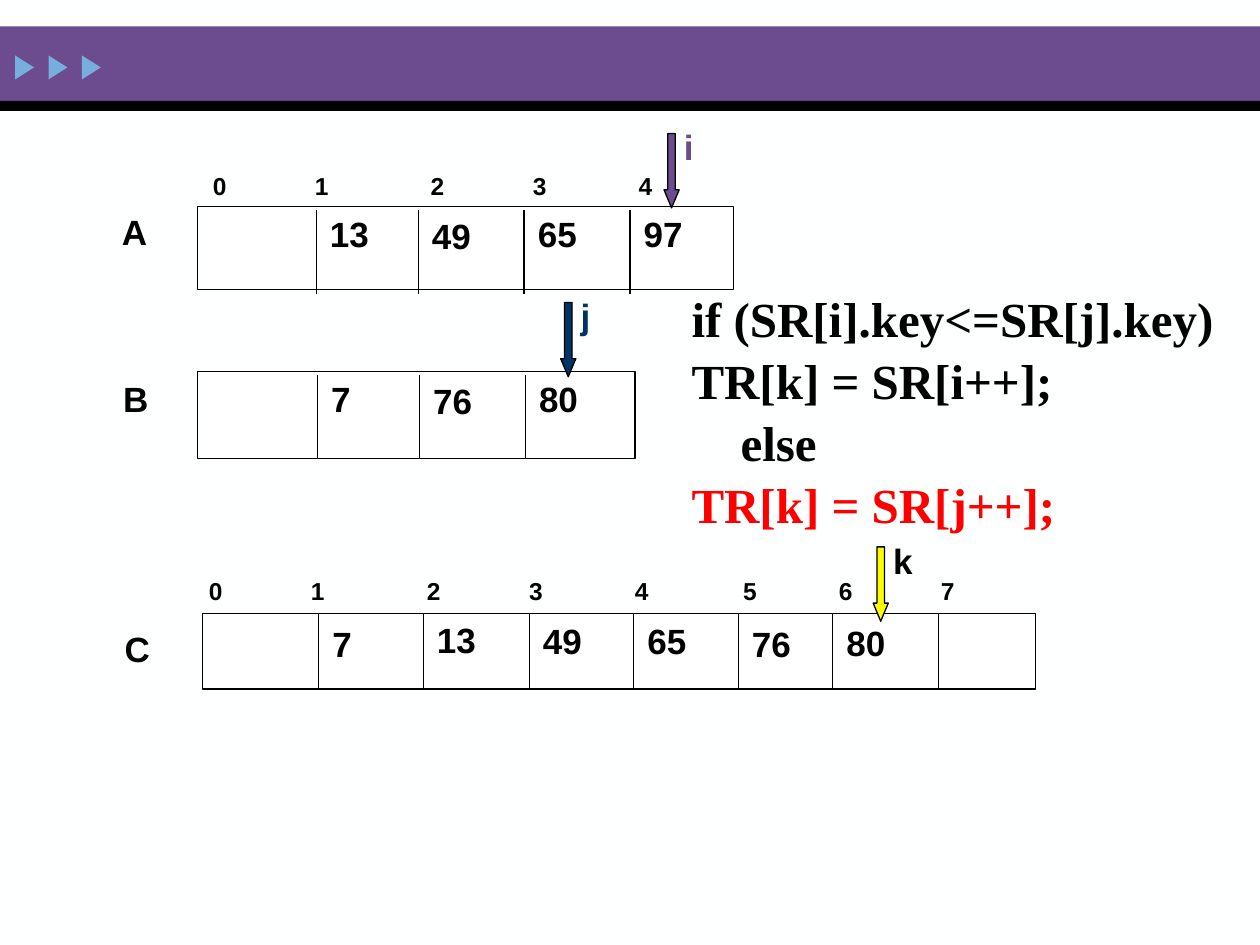
from lxml import etree
from pptx import Presentation
from pptx.dml.color import RGBColor
from pptx.enum.shapes import MSO_CONNECTOR, MSO_SHAPE
from pptx.oxml.ns import qn
from pptx.util import Inches, Pt

RECT, TRIANGLE, DOWN_ARROW = MSO_SHAPE.RECTANGLE, MSO_SHAPE.ISOSCELES_TRIANGLE, MSO_SHAPE.DOWN_ARROW
STRAIGHT = MSO_CONNECTOR.STRAIGHT

WIDTH, HEIGHT = 10, 7.5
INK, PURPLE, NAVY, YELLOW = "000000", "6C4C8F", "003366", "FAFD00"
LABEL_HEIGHT = 0.43

# Content: array boxes, with the left edge of every cell after the first.
# Each value comes with its vertical shift; divider_span is relative to top and bottom.
ARRAYS = [
    dict(name="A", label_at=(0.87, 1.62), box=(1.57, 1.64, 4.25, 0.66),
         dividers=[2.51, 3.32, 4.16, 5], divider_span=(0.03, 0.03),
         values=[("13", 0), ("49", 0.01), ("65", 0), ("97", 0)],
         index_at=(1.59, 1.31), index_count=5),
    dict(name="B", label_at=(0.88, 2.95), box=(1.57, 2.95, 3.47, 0.69),
         dividers=[2.52, 3.33, 4.17], divider_span=(0.03, 0),
         values=[("7", 0), ("76", 0.01), ("80", 0)],
         index_at=None, index_count=0),
    dict(name="C", label_at=(0.89, 4.93), box=(1.61, 4.87, 6.61, 0.6),
         dividers=[2.53, 3.36, 4.2, 5.03, 5.86, 6.61, 7.45], divider_span=(0, 0.01),
         values=[("7", 0.02), ("13", -0.01), ("49", 0), ("65", 0), ("76", 0.02), ("80", 0.01)],
         index_at=(1.56, 4.52), index_count=8),
]
INDEX_TABS = [0.81, 1.73, 2.54, 3.38, 4.24, 5, 5.81]
# Pointer name, arrow left and top, arrow colour, text colour
POINTERS = [
    ("i", 5.27, 1.06, PURPLE, PURPLE),
    ("j", 4.45, 2.4, NAVY, NAVY),
    ("k", 6.93, 4.34, YELLOW, INK),
]
# Code text, left margin, colour
CODE = [
    ("if (SR[i].key<=SR[j].key) TR[k] = SR[i++];", 0, INK),
    ("else", 0.39, INK),
    ("TR[k] = SR[j++];", 0, "FF0000"),
]


def rgb(value):
    return RGBColor.from_string(value)


def add_block(shapes, kind, box, fill, outlined=False):
    block = shapes.add_shape(kind, *map(Inches, box))
    block.shadow.inherit = False
    block.fill.solid()
    block.fill.fore_color.rgb = rgb(fill)
    if outlined:
        block.line.color.rgb = rgb(INK)
        block.line.width = Pt(0.75)
    else:
        block.line.fill.background()
    return block


def format_font(paragraph, size, color=INK, face="Arial"):
    font = paragraph.font
    font.size, font.name, font.bold = Pt(size), face, True
    font.color.rgb = rgb(color)


def add_label(shapes, text, box, size=20, color=INK):
    label = shapes.add_textbox(*map(Inches, box))
    label.text_frame.word_wrap = True
    paragraph = label.text_frame.paragraphs[0]
    paragraph.text = text
    format_font(paragraph, size, color)
    return paragraph


def add_divider(shapes, x, top, bottom):
    divider = shapes.add_connector(STRAIGHT, Inches(x), Inches(top), Inches(x), Inches(bottom))
    divider.line.color.rgb = rgb(INK)
    divider.line.width = Pt(0.75)
    etree.SubElement(divider._element.spPr, qn("a:effectLst"))


def add_indices(shapes, count, left, top, width):
    numbers = add_label(shapes, "\t".join(map(str, range(count))), (left, top, width, 0.33), 14)
    tabs = etree.Element(qn("a:tabLst"))
    for stop in INDEX_TABS[:count - 1]:
        etree.SubElement(tabs, qn("a:tab"), pos=str(Inches(stop)), algn="l")
    numbers._p.get_or_add_pPr().insert(0, tabs)


def add_array(shapes, array):
    left, top, width, height = array["box"]
    add_block(shapes, RECT, array["box"], "FFFFFF", outlined=True)
    start, end = array["divider_span"]
    for x in array["dividers"]:
        add_divider(shapes, x, top + start, top + height + end)
    for x, (value, shift) in zip(array["dividers"], array["values"]):
        add_label(shapes, value, (x + 0.01, top + shift, 0.67, LABEL_HEIGHT))
    add_label(shapes, array["name"], (*array["label_at"], 0.67, LABEL_HEIGHT))
    if array["index_at"]:
        add_indices(shapes, array["index_count"], *array["index_at"], width)


def add_pointer(shapes, name, left, top, fill, color):
    pointer = shapes.add_group_shape().shapes
    arrow = add_block(pointer, DOWN_ARROW, (left, top, 0.12, 0.59), fill, outlined=True)
    arrow.adjustments[0], arrow.adjustments[1] = 0.5, 1.194
    add_label(pointer, name, (left + 0.06, top - 0.11, 0.53, LABEL_HEIGHT), color=color)


def add_code(shapes):
    frame = shapes.add_textbox(Inches(5.39), Inches(2.22), Inches(5), Inches(2.17)).text_frame
    frame.word_wrap = True
    for number, (text, margin, color) in enumerate(CODE):
        paragraph = frame.add_paragraph() if number else frame.paragraphs[0]
        paragraph.text = text
        paragraph.line_spacing = 1.05
        paragraph._p.get_or_add_pPr().set("marL", str(Inches(margin)))
        format_font(paragraph, 28, color, "Times New Roman")


def main():
    deck = Presentation()
    deck.slide_width, deck.slide_height = Inches(WIDTH), Inches(HEIGHT)
    slide = deck.slides.add_slide(deck.slide_layouts[6])
    slide.background.fill.solid()
    slide.background.fill.fore_color.rgb = rgb("FEFFFF")
    shapes = slide.shapes

    # Header band with three play marks
    add_block(shapes, RECT, (0, 0.21, WIDTH, 0.59), PURPLE)
    add_block(shapes, RECT, (0, 0.8, WIDTH, 0.08), INK)
    marks = shapes.add_group_shape().shapes
    for column in range(3):
        mark = add_block(marks, TRIANGLE, (0.1 + 0.265 * column, 0.46, 0.19, 0.15), "76AEDD")
        mark.rotation = 90

    # Arrays, their pointers and the merge step
    for array in ARRAYS:
        add_array(shapes, array)
    for pointer in POINTERS:
        add_pointer(shapes, *pointer)
    add_code(shapes)

    deck.save("out.pptx")


if __name__ == "__main__":
    main()
